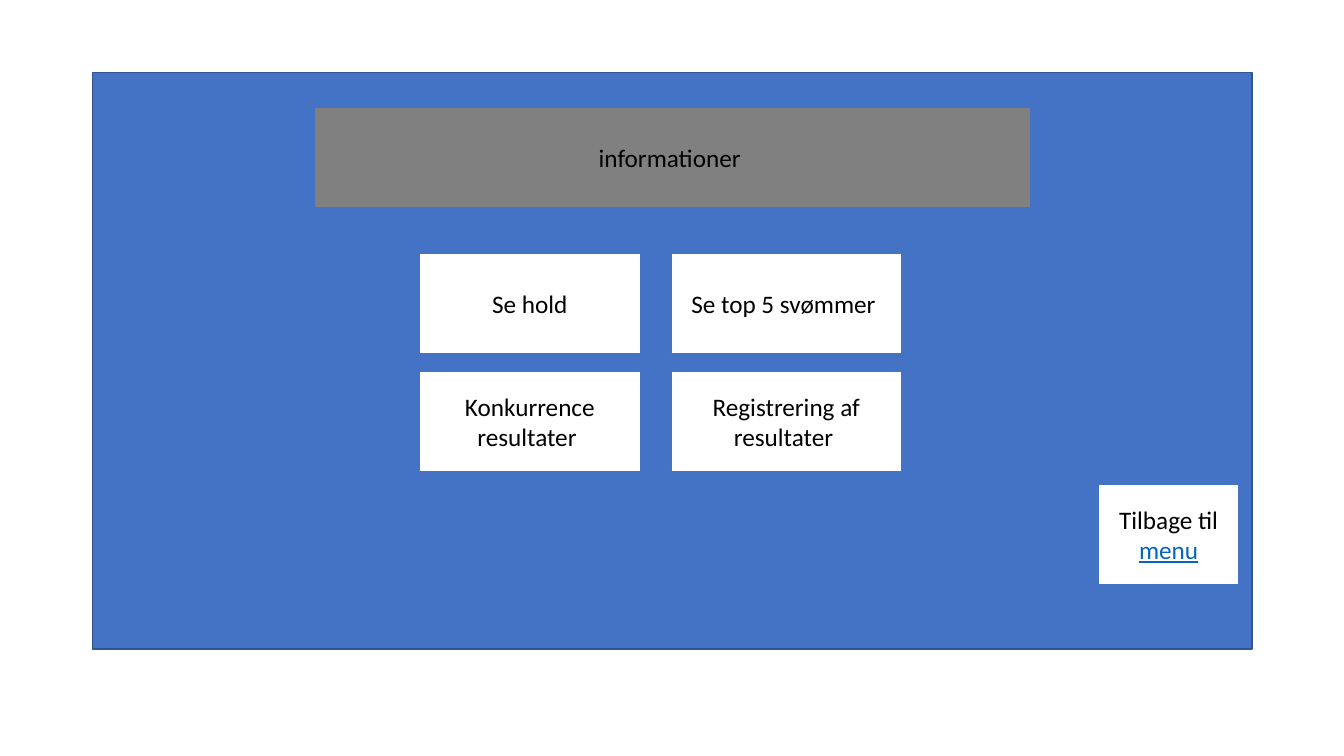
from dataclasses import dataclass
from itertools import product
from typing import NamedTuple

from pptx import Presentation
from pptx.dml.color import RGBColor
from pptx.enum.shapes import MSO_SHAPE
from pptx.enum.text import MSO_ANCHOR, PP_ALIGN
from pptx.util import Inches, Pt


@dataclass(frozen=True)
class Theme:
    blue: str = "4472C4"
    edge: str = "325491"
    gray: str = "808080"
    white: str = "FFFFFF"
    ink: str = "000000"
    link: str = "0563C1"
    font: str = "Calibri"
    size: int = 18
    line: int = 1


class Run(NamedTuple):
    text: str
    link: bool = False


class Span(NamedTuple):
    start: float
    size: float


class Box(NamedTuple):
    col: Span
    row: Span
    fill: str
    line: str
    runs: tuple[Run, ...] = ()


theme = Theme()
deck = Presentation()
deck.slide_width, deck.slide_height = Inches(13.33), Inches(7.5)
slide = deck.slides.add_slide(deck.slide_layouts[6])


def share(part: float, whole: int) -> int:
    return round(whole * part / 100)


def color(code: str) -> RGBColor:
    return RGBColor.from_string(code)


def draw(box: Box) -> None:
    wide, high = deck.slide_width, deck.slide_height
    shape = slide.shapes.add_shape(
        MSO_SHAPE.RECTANGLE,
        share(box.col.start, wide), share(box.row.start, high),
        share(box.col.size, wide), share(box.row.size, high),
    )
    shape.shadow.inherit = False
    shape.fill.solid()
    shape.fill.fore_color.rgb = color(box.fill)
    shape.line.color.rgb = color(box.line)
    shape.line.width = Pt(theme.line)
    frame = shape.text_frame
    frame.word_wrap = True
    frame.vertical_anchor = MSO_ANCHOR.MIDDLE
    para = frame.paragraphs[0]
    para.alignment = PP_ALIGN.CENTER
    for part in box.runs:
        run = para.add_run()
        run.text = part.text
        run.font.name = theme.font
        run.font.size = Pt(theme.size)
        run.font.color.rgb = color(theme.link if part.link else theme.ink)
        if part.link:
            run.font.underline = True


high = 13.33
cols = (Span(31.21, 16.43), Span(49.96, 17.1))
rows = (Span(33.47, high), Span(49.07, high))
names = ("Se hold", "Se top 5 svømmer ",
         "Konkurrence resultater ", "Registrering af resultater ")

panel = Box(Span(6.9, 86.27), Span(9.6, 76.27), theme.blue, theme.edge)
title = Box(Span(23.41, 53.26), Span(14.13, high), theme.gray, theme.blue,
            (Run("informationer "),))
menu = [Box(col, row, theme.white, theme.blue, (Run(name),))
        for (row, col), name in zip(product(rows, cols), names)]
back = Box(Span(81.7, 10.5), Span(64, high), theme.white, theme.blue,
           (Run("Tilbage til "), Run("menu", True)))

for box in (panel, title, *menu, back):
    draw(box)

deck.save("out.pptx")
